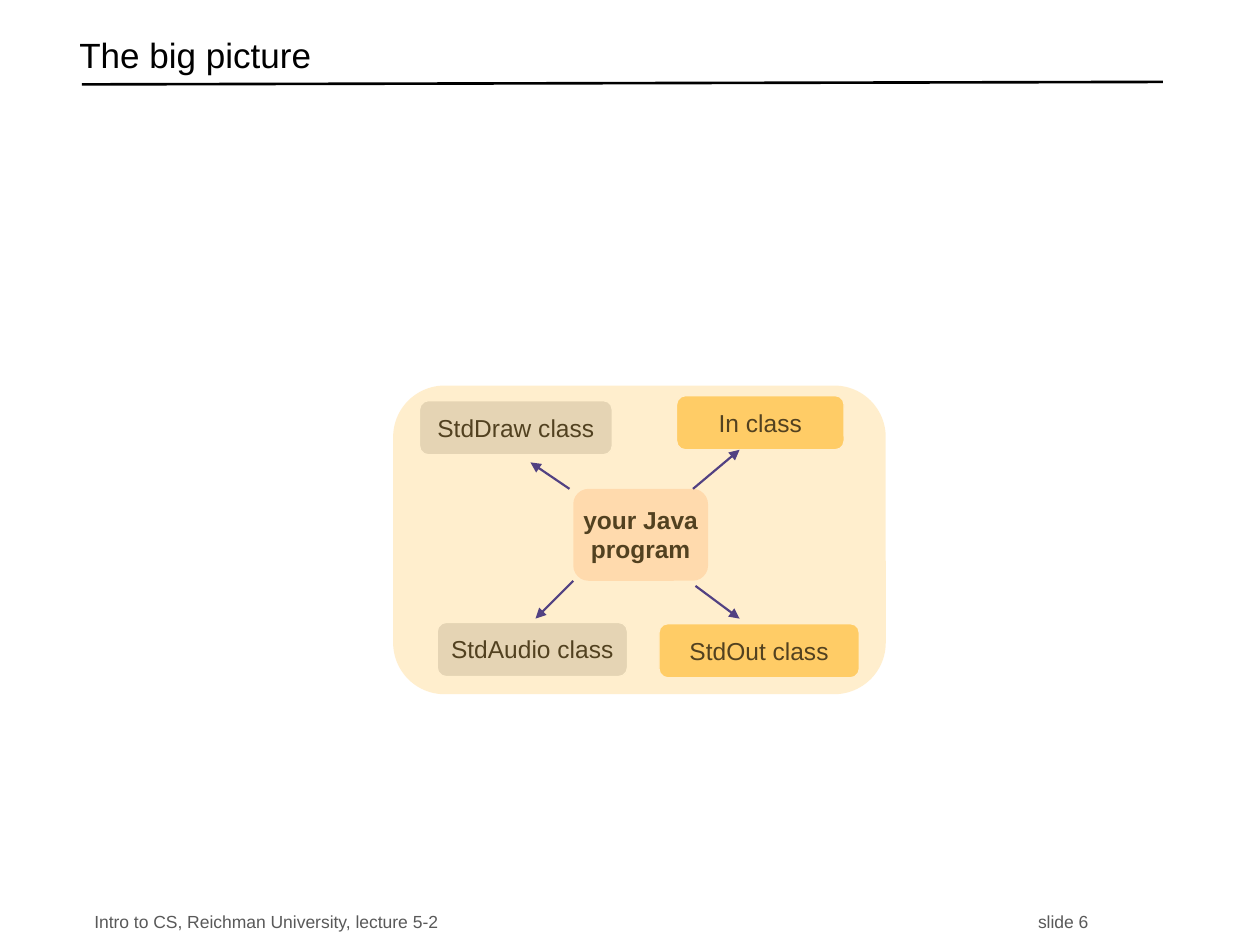
from lxml import etree
from pptx import Presentation
from pptx.dml import color
from pptx.enum import shapes, text
from pptx.oxml import ns
from pptx.util import Inches, Pt


def rgb(value):
    return color.RGBColor.from_string(value)


def write(frame, words, margin_x=0.1, wrap=True, align="LEFT", spacing=1.0, **font):
    frame.text = words
    layout = {"margin_left": Inches(margin_x), "margin_right": Inches(margin_x),
              "margin_top": Inches(0.05), "margin_bottom": Inches(0.05),
              "word_wrap": wrap, "auto_size": text.MSO_AUTO_SIZE.NONE,
              "vertical_anchor": text.MSO_ANCHOR.MIDDLE}
    for key, value in layout.items():
        setattr(frame, key, value)
    paragraph = frame.paragraphs[0]
    paragraph.alignment = getattr(text.PP_ALIGN, align)
    paragraph.line_spacing = spacing
    run_font = paragraph.runs[0].font
    run_font.color.rgb = rgb(font.pop("ink", "000000"))
    for key, value in {"name": "Arial", **font}.items():
        setattr(run_font, key, value)
    return paragraph


prs = Presentation()
prs.slide_width, prs.slide_height = Inches(10), Inches(7.5)
slide = prs.slides.add_slide(prs.slide_layouts[5])

# Title
title = slide.shapes.title
place = {"left": 0.53, "top": 0.22, "width": 8.6, "height": 0.5}
for key, value in place.items():
    setattr(title, key, Inches(value))
write(title.text_frame, "The big picture", spacing=0.7, size=Pt(20))

# Footer, with the slide number at a tab stop
footer = slide.shapes.add_textbox(Inches(0.65), Inches(7.19), Inches(8.6), Inches(0.25))
footer_line = write(footer.text_frame, "Intro to CS, Reichman University, lecture 5-2\tslide 6",
                    size=Pt(10), ink="595959")
tabs = etree.SubElement(footer_line._p.get_or_add_pPr(), ns.qn("a:tabLst"))
etree.SubElement(tabs, ns.qn("a:tab"), pos=str(Inches(7.49)), algn="l")

# Program, classes and the tinted panel laid over them
boxes = [
    ("your Java program", 4.55, 3.88, 1.07, 0.73, "FFE1D0"),
    ("StdDraw class", 3.33, 3.18, 1.53, 0.43, "D9D9D9"),
    ("In class", 5.37, 3.14, 1.33, 0.43, "FFCC66"),
    ("StdAudio class", 3.47, 4.94, 1.51, 0.43, "D9D9D9"),
    ("StdOut class", 5.23, 4.95, 1.59, 0.43, "FFCC66"),
    ("", 3.12, 3.06, 3.91, 2.45, "FFCC66"),
]
for label, left, top, width, height, fill in boxes:
    box = slide.shapes.add_shape(shapes.MSO_SHAPE.ROUNDED_RECTANGLE, Inches(left),
                                 Inches(top), Inches(width), Inches(height))
    box.shadow.inherit = False
    box.fill.solid()
    box.fill.fore_color.rgb = rgb(fill)
    if label.endswith("class"):
        box.line.color.rgb = rgb("FFFFFF")
        box.line.width = Pt(0.75)
    else:
        box.line.fill.background()
    if label:
        write(box.text_frame, label, margin_x=0, align="CENTER", spacing=Pt(16.4),
              size=Pt(14), bold=label.endswith("program"))
panel = box
panel_color = panel.fill._xPr.find(ns.qn("a:solidFill"))[0]
etree.SubElement(panel_color, ns.qn("a:alpha"), val="32000")

# Title rule and the arrows from the program to each class
lines = [
    (0.65, 0.67, 9.23, 0.65, "000000", 1.5),
    (4.52, 3.88, 4.21, 3.67, "000090", 1.25),
    (5.5, 3.88, 5.87, 3.57, "000090", 1.25),
    (4.55, 4.61, 4.25, 4.91, "000090", 1.25),
    (5.52, 4.65, 5.87, 4.91, "000090", 1.25),
]
for x1, y1, x2, y2, ink, weight in lines:
    line = slide.shapes.add_connector(shapes.MSO_CONNECTOR.STRAIGHT, Inches(x1),
                                      Inches(y1), Inches(x2), Inches(y2))
    line.line.color.rgb = rgb(ink)
    line.line.width = Pt(weight)
    if ink == "000090":
        etree.SubElement(line.line._get_or_add_ln(), ns.qn("a:tailEnd"), type="triangle")
        panel._element.addprevious(line._element)  # arrows lie under the panel
    etree.SubElement(line._element.spPr, ns.qn("a:effectLst"))

prs.save("out.pptx")
